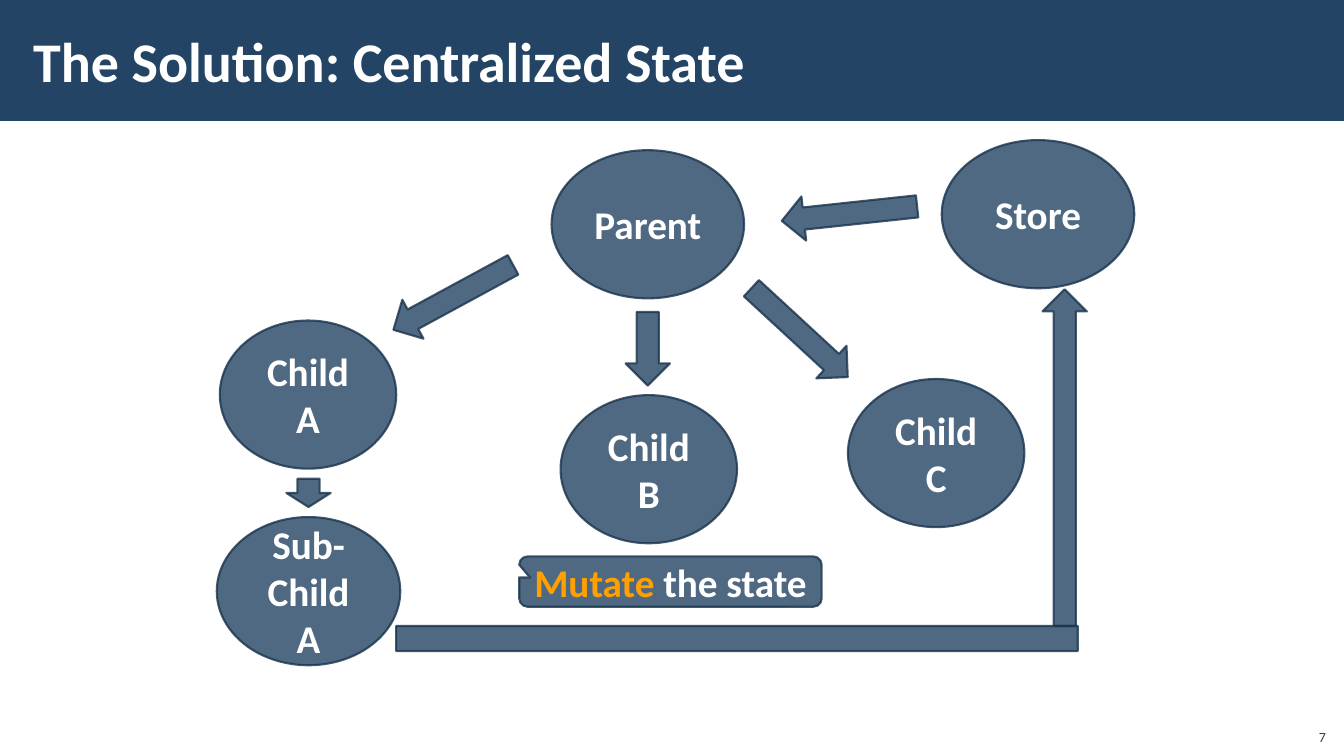
from lxml import etree
from pptx import Presentation
from pptx.dml.color import RGBColor
from pptx.enum.shapes import MSO_SHAPE as SHAPE
from pptx.enum.text import MSO_ANCHOR as ANCHOR, PP_ALIGN as ALIGN
from pptx.oxml.ns import qn
from pptx.util import Inches, Pt

# Content
NAVY, EDGE, WHITE, AMBER = "234465", "1A334C", "FFFFFF", "FFA000"
TITLE = "The Solution: Centralized State"
PAGE = "7"
CALLOUT = [("Mutate", AMBER), (" the state", WHITE)]
NODE_H, ARROW_H = 1.47, 0.44
NODES = [  # label, left, top, width
    ("Child\nA", 2.18, 3.18, 1.75),
    ("Child\nB", 5.56, 3.92, 1.75),
    ("Child\nC", 8.41, 3.76, 1.75),
    ("Sub-Child A", 2.15, 5.13, 1.82),
    ("Parent", 5.47, 1.49, 1.91),
    ("Store", 9.34, 1.39, 1.91),
]
ARROWS = [  # left, top, length, rotation
    (3.82, 2.73, 1.35, 331.5),  # Parent to Child A
    (7.75, 1.9, 1.35, 353.9),   # Store to Parent
    (6.06, 3.24, 0.73, 270),    # Parent to Child B
    (7.28, 3.08, 1.3, 222.7),   # Parent to Child C
    (2.92, 4.67, 0.28, 270),    # Child A to Sub-Child A
    (8.89, 4.32, 3.34, 90),     # up to Store
]


def rgb(value):
    return RGBColor.from_string(value)


def set_alpha(fill_format, percent):
    """Make a solid fill partly transparent."""
    color = fill_format._xPr.find(qn("a:solidFill"))[0]
    etree.SubElement(color, qn("a:alpha")).set("val", str(percent * 1000))


def add_part(kind, left, top, width, height):
    """Add a translucent outlined shape of the diagram."""
    sp = s.shapes.add_shape(kind, *map(Inches, (left, top, width, height)))
    sp.shadow.inherit = False
    sp.line.width = Pt(1.5)
    for fill, color in ((sp.fill, NAVY), (sp.line.fill, EDGE)):
        fill.solid()
        fill.fore_color.rgb = rgb(color)
        set_alpha(fill, 80)
    return sp


def write(tf, paragraphs, size, bold, align, anchor):
    """Fill a text frame; each paragraph is a list of (text, color) runs."""
    tf.word_wrap = True
    tf.vertical_anchor = anchor
    for i, runs in enumerate(paragraphs):
        p = tf.add_paragraph() if i else tf.paragraphs[0]
        p.alignment = align
        for text, color in runs:
            r = p.add_run()
            r.text = text
            r.font.color.rgb = rgb(color)
            for name, value in {"name": "Calibri", "size": Pt(size), "bold": bold}.items():
                setattr(r.font, name, value)


prs = Presentation()
prs.slide_width, prs.slide_height = Inches(13.33), Inches(7.5)
s = prs.slides.add_slide(prs.slide_layouts[6])

# Title band
band = s.shapes.add_shape(SHAPE.RECTANGLE, 0, 0, prs.slide_width, Inches(1.2))
band.shadow.inherit = False
band.fill.solid()
band.fill.fore_color.rgb = rgb(NAVY)
band.line.fill.background()
title = s.shapes.add_textbox(*map(Inches, (0.21, 0.11, 10.63, 0.97)))
title.text_frame.margin_left = title.text_frame.margin_right = Inches(0.12)
write(title.text_frame, [[(TITLE, WHITE)]], 40, True, ALIGN.LEFT, ANCHOR.MIDDLE)

# Components
for label, left, top, width in NODES:
    node = add_part(SHAPE.OVAL, left, top, width, NODE_H)
    lines = [[(line, WHITE)] for line in label.split("\n")]
    write(node.text_frame, lines, 28, True, ALIGN.CENTER, ANCHOR.MIDDLE)

# Data flow
for left, top, length, rotation in ARROWS:
    add_part(SHAPE.LEFT_ARROW, left, top, length, ARROW_H).rotation = rotation
add_part(SHAPE.RECTANGLE, 3.93, 6.21, 6.76, 0.25)

# Callout
callout = add_part(SHAPE.ROUNDED_RECTANGULAR_CALLOUT, 5.15, 5.52, 3, 0.5)
for i, value in enumerate((-0.464, -0.078, 0.167)):
    callout.adjustments[i] = value
write(callout.text_frame, [CALLOUT], 28, True, ALIGN.CENTER, ANCHOR.MIDDLE)

# Page number
page = s.shapes.add_textbox(*map(Inches, (12.85, 7.12, 0.4, 0.32)))
write(page.text_frame, [[(PAGE, NAVY)]], 10, False, ALIGN.RIGHT, ANCHOR.BOTTOM)

prs.save("out.pptx")
